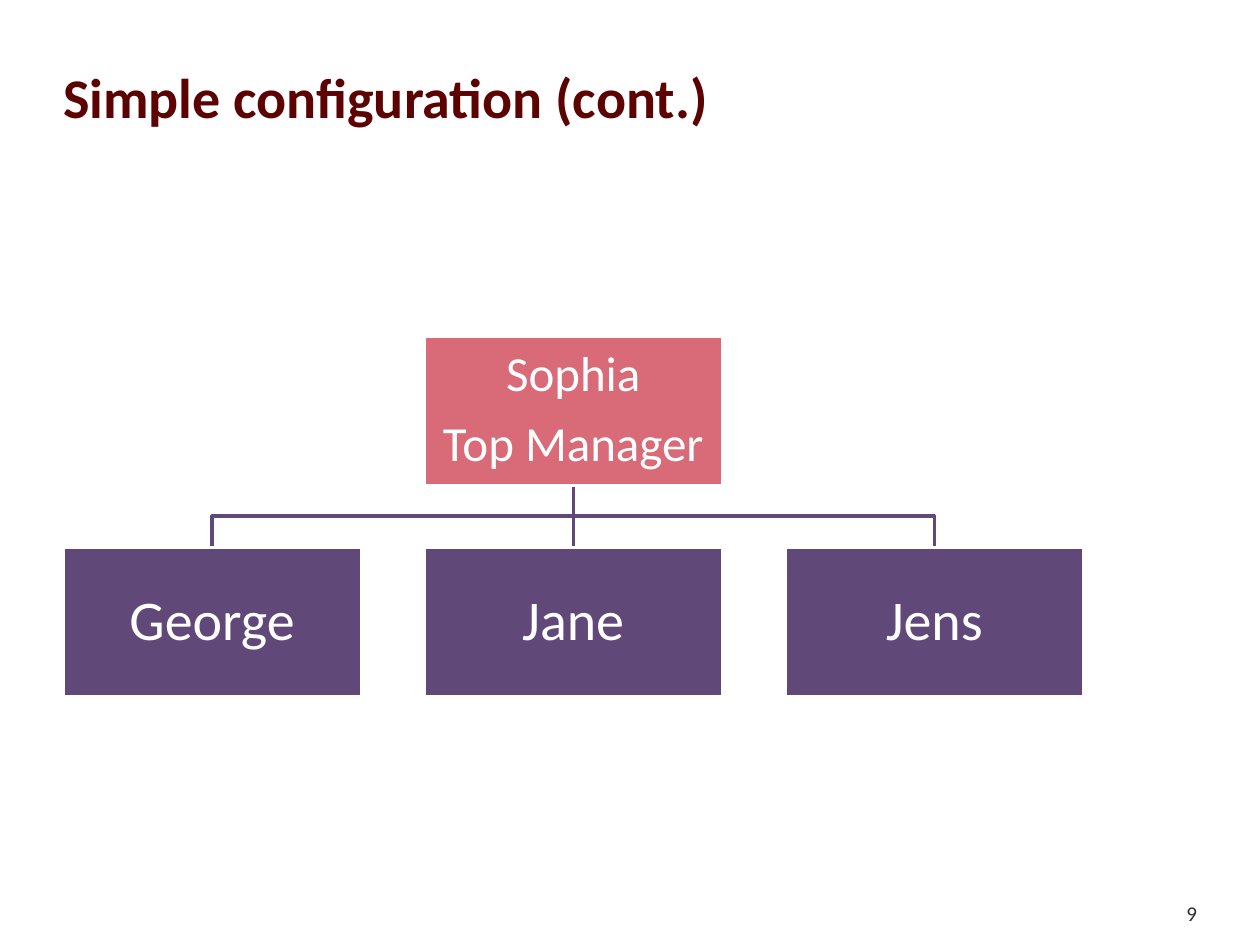
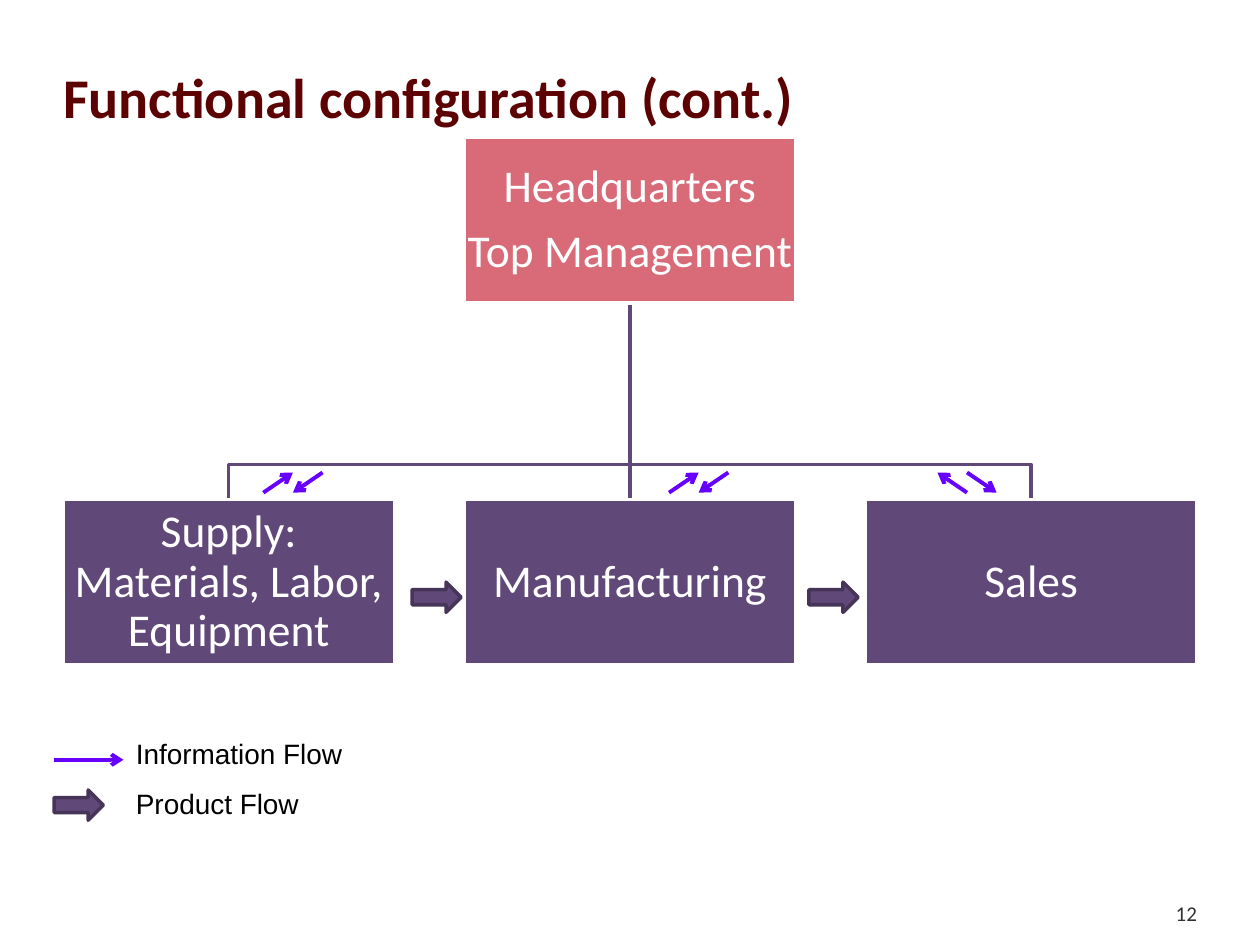
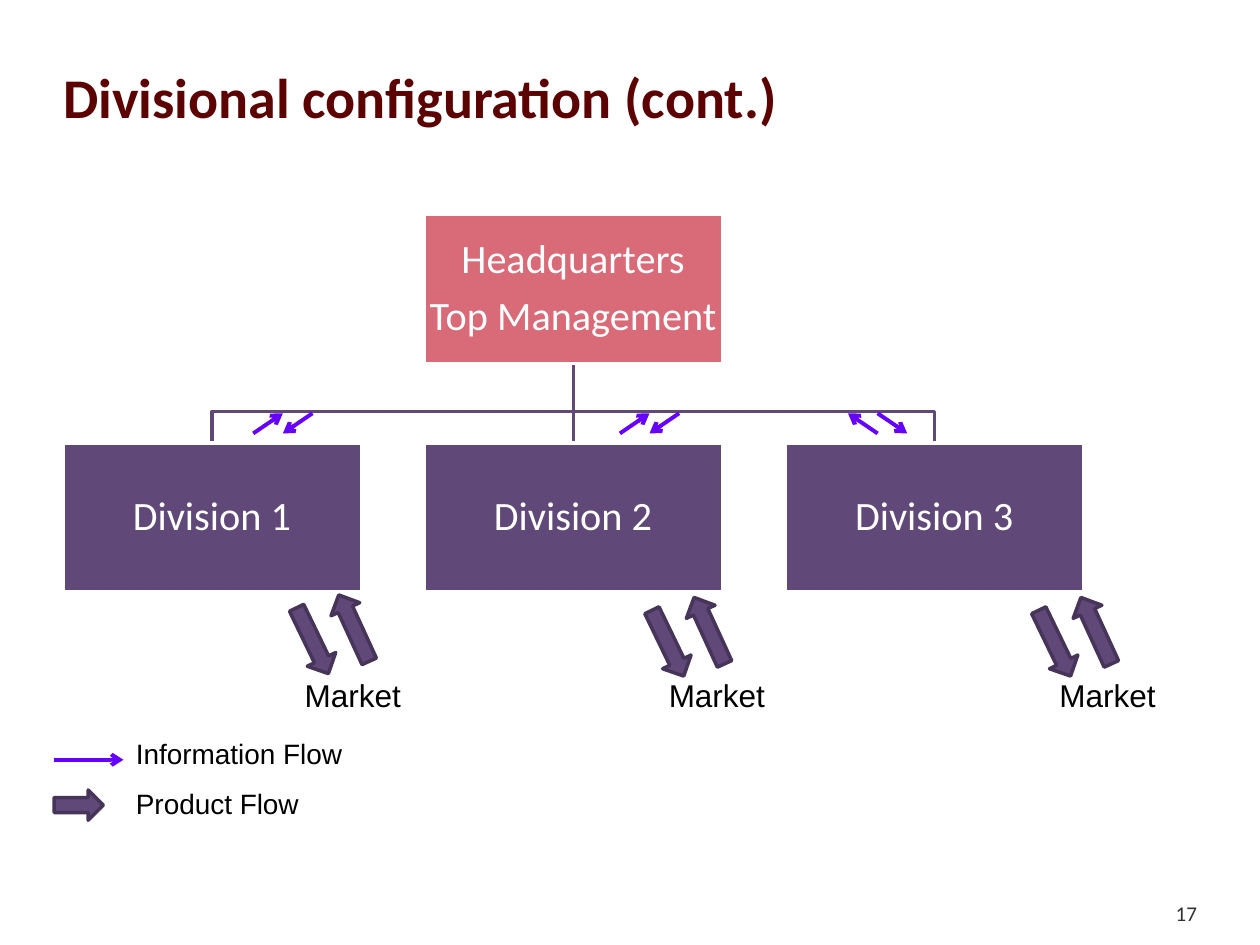
from pptx import Presentation
from pptx.dml.color import RGBColor
from pptx.enum.shapes import MSO_CONNECTOR, MSO_SHAPE
from pptx.enum.text import MSO_ANCHOR, MSO_AUTO_SIZE, PP_ALIGN
from pptx.oxml.ns import qn
from pptx.util import Inches, Pt
from lxml import etree

RECTANGLE, RIGHT_ARROW = MSO_SHAPE.RECTANGLE, MSO_SHAPE.RIGHT_ARROW
STRAIGHT = MSO_CONNECTOR.STRAIGHT
LEFT, CENTER, RIGHT = PP_ALIGN.LEFT, PP_ALIGN.CENTER, PP_ALIGN.RIGHT
TOP, MIDDLE, BOTTOM = MSO_ANCHOR.TOP, MSO_ANCHOR.MIDDLE, MSO_ANCHOR.BOTTOM
NO_AUTOFIT = MSO_AUTO_SIZE.NONE

SLIDE_WIDTH, SLIDE_HEIGHT = 10, 7.5
TITLE_ONLY_LAYOUT = 5
HEADING_FONT, LABEL_FONT = "Calibri", "Arial"
TITLE_COLOR, NUMBER_COLOR, LABEL_COLOR = "5C0202", "303030", "000000"
HEAD_FILL, UNIT_FILL, WHITE = "D86B77", "604878", "FFFFFF"
INFORMATION_COLOR, PRODUCT_LINE = "6600FF", "473559"

MARGIN = 0.05 * SLIDE_WIDTH
GAP_SHARE = 0.21  # gap between nodes, as a share of the node's size
FLOW_WIDTH, FLOW_HEIGHT = 0.47, 0.16
PRODUCT_SIZE, MARKET_ARROW_SIZE = (0.39, 0.24), (0.58, 0.25)


def color(hex_string):
    return RGBColor.from_string(hex_string)


def inches(*lengths):
    return [Inches(length) for length in lengths]


def set_line(shape, line_color, width):
    shape.line.color.rgb = color(line_color)
    shape.line.width = Pt(width)


def write(shape, lines, size, font_color, font=HEADING_FONT, align=LEFT,
          anchor=TOP, insets=(0.1, 0.05, 0.1, 0.05), bold=False, wrap=True):
    """Fill a shape with one paragraph per line; insets run left, top, right, bottom."""
    frame = shape.text_frame
    frame.text = "\n".join(lines)
    frame.auto_size = NO_AUTOFIT
    frame.word_wrap = wrap
    frame.vertical_anchor = anchor
    (frame.margin_left, frame.margin_top,
     frame.margin_right, frame.margin_bottom) = inches(*insets)
    for paragraph in frame.paragraphs:
        paragraph.alignment = align
        paragraph.font.name = font
        paragraph.font.size = Pt(size)
        paragraph.font.bold = bold
        paragraph.font.color.rgb = color(font_color)


def add_label(slide, text, box, size, wrap=True):
    label = slide.shapes.add_textbox(*inches(*box))
    write(label, [text], size, LABEL_COLOR, LABEL_FONT, wrap=wrap)


def add_straight(slide, start, end, line_color, width, arrow=False):
    connector = slide.shapes.add_connector(STRAIGHT, *inches(*start, *end))
    set_line(connector, line_color, width)
    properties = connector._element.spPr
    if arrow:
        line = properties.find(qn("a:ln"))
        etree.SubElement(line, qn("a:tailEnd"), type="arrow")
    etree.SubElement(properties, qn("a:effectLst"))


def add_filled(slide, kind, box, fill, line_color):
    shape = slide.shapes.add_shape(kind, *inches(*box))
    shape.shadow.inherit = False
    shape.fill.solid()
    shape.fill.fore_color.rgb = color(fill)
    set_line(shape, line_color, 2)
    return shape


def add_product_arrow(slide, left, top, size=PRODUCT_SIZE, rotation=0):
    arrow = add_filled(slide, RIGHT_ARROW, (left, top, *size), UNIT_FILL, PRODUCT_LINE)
    arrow.rotation = rotation


def add_information_pair(slide, left, top, leans_left=False):
    """Draw one arrow up in the left half and one arrow down in the right half."""
    middle, right = left + FLOW_WIDTH / 2, left + FLOW_WIDTH
    bottom = top + FLOW_HEIGHT
    up, down = (left, middle), (right, middle)
    if leans_left:
        up, down = up[::-1], down[::-1]
    for (start, end), y_start, y_end in ((up, bottom, top), (down, top, bottom)):
        add_straight(slide, (start, y_start), (end, y_end),
                     INFORMATION_COLOR, 2.25, arrow=True)


def add_information_row(slide, lefts, top):
    for left in lefts:
        add_information_pair(slide, left, top, leans_left=left == lefts[-1])


def add_branch(slide, points):
    start, *others = [inches(*point) for point in points]
    builder = slide.shapes.build_freeform(*start)
    builder.add_line_segments(others, close=False)
    branch = builder.convert_to_shape()
    branch.shadow.inherit = False
    branch.fill.background()
    set_line(branch, UNIT_FILL, 2)


def add_node(slide, box, fill, lines, size):
    node = add_filled(slide, RECTANGLE, box, fill, WHITE)
    write(node, lines, size, WHITE, align=CENTER, anchor=MIDDLE, insets=[0.02] * 4)
    for paragraph in node.text_frame.paragraphs:
        paragraph.line_spacing = 0.9
        paragraph.space_after = Pt(0.35 * size)


def add_organization_chart(slide, box, head, units, head_size, unit_size):
    """Put the head above the middle of a row of units that spans the box."""
    left, top, width, height = box
    node_width = width / (len(units) + GAP_SHARE * (len(units) - 1))
    node_height = node_width / 2
    center, head_bottom = left + width / 2, top + node_height
    units_top = top + height - node_height
    bus = units_top - GAP_SHARE * node_height
    unit_lefts = [left + index * node_width * (1 + GAP_SHARE)
                  for index in range(len(units))]

    for unit_left in (unit_lefts[-1], unit_lefts[0]):
        unit_center = unit_left + node_width / 2
        add_branch(slide, [(center, head_bottom), (center, bus),
                           (unit_center, bus), (unit_center, units_top)])
    add_straight(slide, (center, head_bottom), (center, units_top), UNIT_FILL, 2)

    add_node(slide, (center - node_width / 2, top, node_width, node_height),
             HEAD_FILL, head, head_size)
    for unit_left, unit in zip(unit_lefts, units):
        add_node(slide, (unit_left, units_top, node_width, node_height),
                 UNIT_FILL, [unit], unit_size)


def add_market(slide, left, top, label_left):
    add_product_arrow(slide, left, top, MARKET_ARROW_SIZE, 64.2)
    add_product_arrow(slide, left + 0.33, top - 0.1, MARKET_ARROW_SIZE, 245.4)
    add_label(slide, "Market", (label_left, 5.32, 0.97, 0.4), 18, wrap=False)


def add_legend(slide, left=0.43, top=5.8):
    label_left = left + 0.55
    add_straight(slide, (left, top + 0.23), (label_left, top + 0.23),
                 INFORMATION_COLOR, 2.25, arrow=True)
    add_product_arrow(slide, left, top + 0.47)
    add_label(slide, "Information Flow", (label_left, top, 2.05, 0.37), 16)
    add_label(slide, "Product Flow", (label_left, top + 0.39, 1.81, 0.37), 16)


def add_titled_slide(presentation, title_text, number):
    slide = presentation.slides.add_slide(presentation.slide_layouts[TITLE_ONLY_LAYOUT])
    title = slide.shapes.title
    title.left, title.top, title.width, title.height = inches(MARGIN, 0.36, 8.09, 1.25)
    write(title, [title_text], 32, TITLE_COLOR, anchor=BOTTOM,
          insets=(0, 0.05, 0, 0.58), bold=True)
    number_width = SLIDE_WIDTH / 12
    number_box = slide.shapes.add_textbox(
        *inches(SLIDE_WIDTH - MARGIN - number_width, 6.95, number_width, 0.4))
    write(number_box, [number], 12, NUMBER_COLOR, align=RIGHT, anchor=BOTTOM,
          insets=[0] * 4)
    return slide


def build_simple(presentation):
    slide = add_titled_slide(presentation, "Simple configuration (cont.)", "9")
    add_organization_chart(slide, (MARGIN, 2.67, 8.1, 2.86), ["Sophia", "Top Manager"],
                           ["George", "Jane", "Jens"], 28, 32)


def build_functional(presentation):
    slide = add_titled_slide(presentation, "Functional configuration (cont.)", "12")
    add_organization_chart(
        slide, (MARGIN, 1.09, 9, 4.19), ["Headquarters", "Top Management"],
        ["Supply: Materials, Labor, Equipment", "Manufacturing", "Sales"], 26, 26)
    add_information_row(slide, (2.09, 5.31, 7.44), 3.75)
    for left in (3.27, 6.42):
        add_product_arrow(slide, left, 4.62)
    add_legend(slide)


def build_divisional(presentation):
    slide = add_titled_slide(presentation, "Divisional configuration (cont.)", "17")
    add_organization_chart(
        slide, (MARGIN, 1.7, 8.1, 3), ["Headquarters", "Top Management"],
        [f"Division {index}" for index in (1, 2, 3)], 23, 23)
    add_information_row(slide, (2.01, 4.92, 6.73), 3.28)
    for market in ((2.19, 4.96, 2.32), (5.01, 4.98, 5.21), (8.08, 4.98, 8.31)):
        add_market(slide, *market)
    add_legend(slide)


def main():
    presentation = Presentation()
    presentation.slide_width, presentation.slide_height = inches(SLIDE_WIDTH, SLIDE_HEIGHT)
    build_simple(presentation)
    build_functional(presentation)
    build_divisional(presentation)
    presentation.save("out.pptx")


if __name__ == "__main__":
    main()
